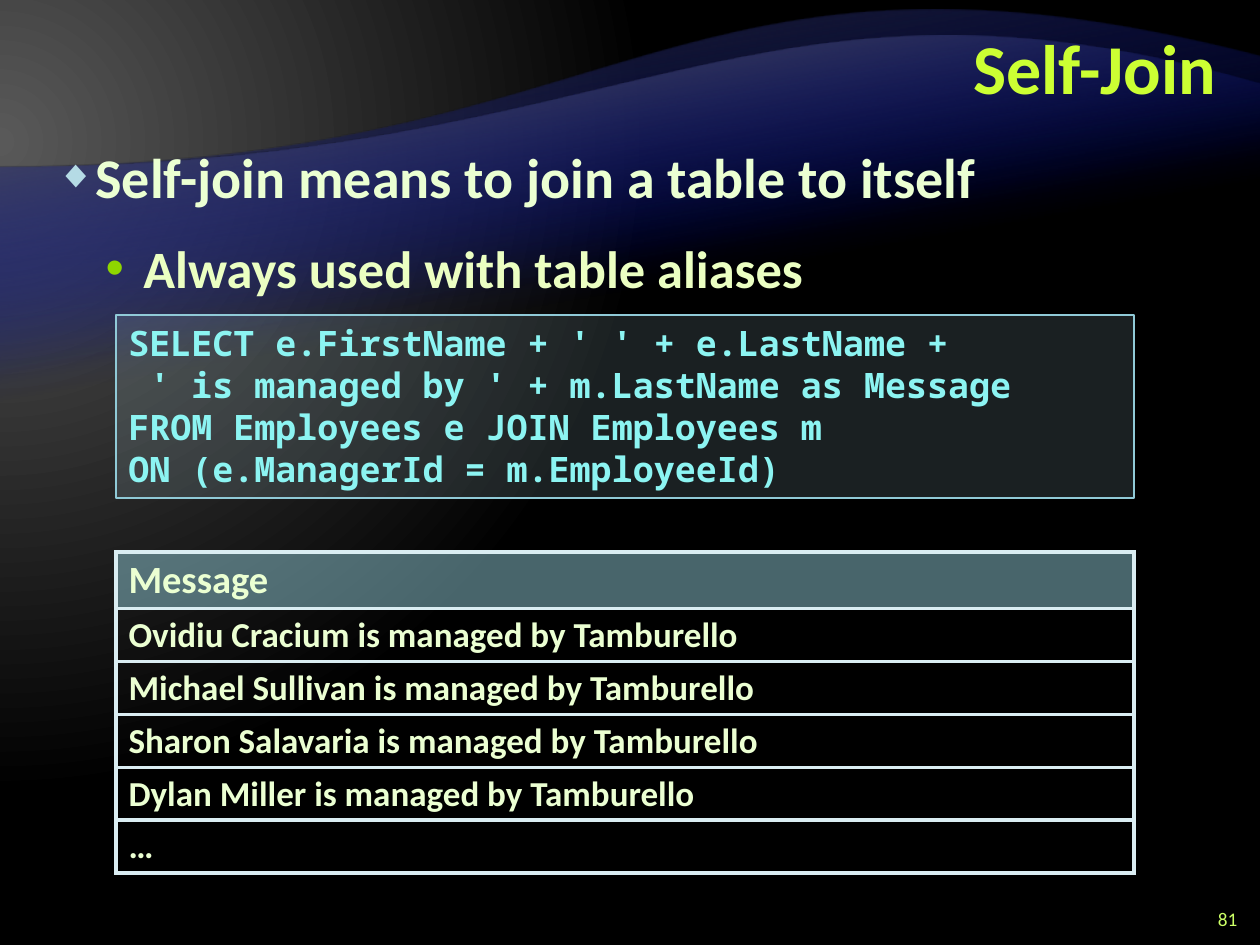
import lxml.etree
import pptx
import pptx.dml.color
import pptx.enum.shapes
import pptx.enum.text
import pptx.oxml
import pptx.oxml.ns
import pptx.util

Inches = pptx.util.Inches
Pt = pptx.util.Pt
qn = pptx.oxml.ns.qn
NAMESPACE = pptx.oxml.ns.nsdecls("a")
ALIGN = pptx.enum.text.PP_ALIGN
ANCHOR = pptx.enum.text.MSO_ANCHOR


def color(value):
    return pptx.dml.color.RGBColor.from_string(value)


def write(frame, text, size, fill, font="Calibri", bold=True, align=ALIGN.LEFT,
          spacing=None, before=None, after=None, bullet=None):
    paragraph = frame.paragraphs[0]
    if paragraph.runs:
        paragraph = frame.add_paragraph()
    paragraph.alignment = align
    paragraph.line_spacing = spacing
    paragraph.space_before = before
    paragraph.space_after = after
    if bullet:
        symbol, bullet_color, scale, margin, indent = bullet
        properties = paragraph._p.get_or_add_pPr()
        properties.set("marL", str(Inches(margin)))
        properties.set("indent", str(Inches(indent)))
        for element in (
            f'<a:buClr {NAMESPACE}><a:srgbClr val="{bullet_color}"/></a:buClr>',
            f'<a:buSzPct {NAMESPACE} val="{scale * 1000}"/>',
            f'<a:buFont {NAMESPACE} typeface="Arial"/>',
            f'<a:buChar {NAMESPACE} char="{symbol}"/>',
        ):
            properties.append(pptx.oxml.parse_xml(element))
    run = paragraph.add_run()
    run.text = text
    run.font.name = font
    run.font.size = Pt(size)
    run.font.bold = bold
    run.font.color.rgb = color(fill)


presentation = pptx.Presentation()
presentation.slide_width = Inches(10)
presentation.slide_height = Inches(7.5)
slide = presentation.slides.add_slide(presentation.slide_layouts[6])

slide.background.fill.solid()
background = slide.background._cSld.bg.bgPr
background.replace(background[0], pptx.oxml.parse_xml(
    f'<a:gradFill {NAMESPACE} rotWithShape="1"><a:gsLst>'
    '<a:gs pos="0"><a:srgbClr val="595959"/></a:gs>'
    '<a:gs pos="83000"><a:srgbClr val="000000"/></a:gs></a:gsLst>'
    '<a:path path="circle"><a:fillToRect l="20000" t="30000" r="135000" b="100000"/></a:path>'
    '</a:gradFill>'))

for top, height, control_x, control_y, edge_color in (
    (0.45, 6.08, 5.34, -0.75, "262626"),
    (0.67, 4.9, 5.98, -0.49, "595959"),
):
    shoulder = height - (1.33 - top)
    builder = slide.shapes.build_freeform(0, Inches(top))
    builder.add_line_segments([
        (Inches(10), Inches(top)),
        (Inches(10), Inches(top + shoulder)),
        (0, Inches(top + height)),
    ])
    wave = builder.convert_to_shape()
    wave.rotation = 180
    wave.shadow.inherit = False
    wave.line.fill.background()
    segment = wave._element.findall(".//" + qn("a:lnTo"))[2]
    segment.tag = qn("a:cubicBezTo")
    for index, (x, y) in enumerate((
        (5, shoulder), (10 - control_x, height - (control_y - top)),
    )):
        point = lxml.etree.Element(qn("a:pt"), x=str(Inches(x)), y=str(Inches(y)))
        segment.insert(index, point)
    wave.fill.solid()
    properties = wave._element.spPr
    properties.replace(properties.find(qn("a:solidFill")), pptx.oxml.parse_xml(
        f'<a:gradFill {NAMESPACE} rotWithShape="1"><a:gsLst>'
        '<a:gs pos="65000"><a:srgbClr val="000D9E"><a:alpha val="0"/></a:srgbClr></a:gs>'
        f'<a:gs pos="100000"><a:srgbClr val="{edge_color}"/></a:gs></a:gsLst>'
        '<a:lin ang="4800000" scaled="0"/></a:gradFill>'))

title = slide.shapes.add_textbox(Inches(2), Inches(0.08), Inches(7.75), Inches(1)).text_frame
title.word_wrap = True
title.vertical_anchor = ANCHOR.MIDDLE
write(title, "Self-Join", 40, "CCFF33", align=ALIGN.RIGHT, spacing=Pt(40))

body = slide.shapes.add_textbox(Inches(0.35), Inches(1.08), Inches(9.29), Inches(6.05)).text_frame
body.word_wrap = True
write(body, "Self-join means to join a table to itself", 32, "EBFFD2", after=Pt(6),
      bullet=("◆", "B5DBE5", 70, 0.31, -0.31))
write(body, "Always used with table aliases", 30, "EBFFC2", before=Pt(9), after=Pt(6),
      bullet=("•", "8FD600", 100, 0.69, -0.3))
body.paragraphs[1].level = 1

number = slide.shapes.add_textbox(Inches(9.42), Inches(7.17), Inches(0.5), Inches(0.25)).text_frame
number.word_wrap = True
number.vertical_anchor = ANCHOR.MIDDLE
write(number, "81", 11, "CCFF66", bold=False, align=ALIGN.RIGHT)

query = slide.shapes.add_shape(pptx.enum.shapes.MSO_SHAPE.RECTANGLE,
                               Inches(0.92), Inches(2.5), Inches(8.08), Inches(1.45))
query.shadow.inherit = False
query.fill.solid()
query.fill.fore_color.rgb = color("B5DBE5")
query_color = query._element.spPr.find(qn("a:solidFill"))[0]
lxml.etree.SubElement(query_color, qn("a:alpha"), val="15000")
query.line.color.rgb = color("90CAD7")
query.line.width = Pt(1)
query.text_frame.word_wrap = True
query.text_frame.vertical_anchor = ANCHOR.TOP
query.text_frame.auto_size = pptx.enum.text.MSO_AUTO_SIZE.SHAPE_TO_FIT_TEXT
for line in (
    "SELECT e.FirstName + ' ' + e.LastName +",
    " ' is managed by ' + m.LastName as Message",
    "FROM Employees e JOIN Employees m",
    "ON (e.ManagerId = m.EmployeeId)",
):
    write(query.text_frame, line, 20, "8CF4F2", font="Noto Sans Mono")

messages = (
    "Message",
    "Ovidiu Cracium is managed by Tamburello",
    "Michael Sullivan is managed by Tamburello",
    "Sharon Salavaria is managed by Tamburello",
    "Dylan Miller is managed by Tamburello",
    "…",
)
table = slide.shapes.add_table(len(messages), 1, Inches(0.92), Inches(4.38),
                               Inches(8.08), Inches(2.55)).table
table.first_row = False
table.horz_banding = False
for index, message in enumerate(messages):
    header = index == 0
    table.rows[index].height = Inches(0.45 if header else 0.42)
    cell = table.cell(index, 0)
    write(cell.text_frame, message, 22 if header else 20, "EBFFD2", spacing=0.95)
    properties = cell._tc.get_or_add_tcPr()
    for side in ("lnL", "lnR", "lnT", "lnB"):
        properties.append(pptx.oxml.parse_xml(
            f'<a:{side} {NAMESPACE} w="{Pt(2.25)}"><a:solidFill>'
            f'<a:srgbClr val="DAEDF2"/></a:solidFill></a:{side}>'))
    if header:
        cell.fill.solid()
        cell.fill.fore_color.rgb = color("90CAD7")
        header_color = properties.find(qn("a:solidFill"))[0]
        lxml.etree.SubElement(header_color, qn("a:alpha"), val="50000")
    else:
        cell.fill.background()

presentation.save("out.pptx")
